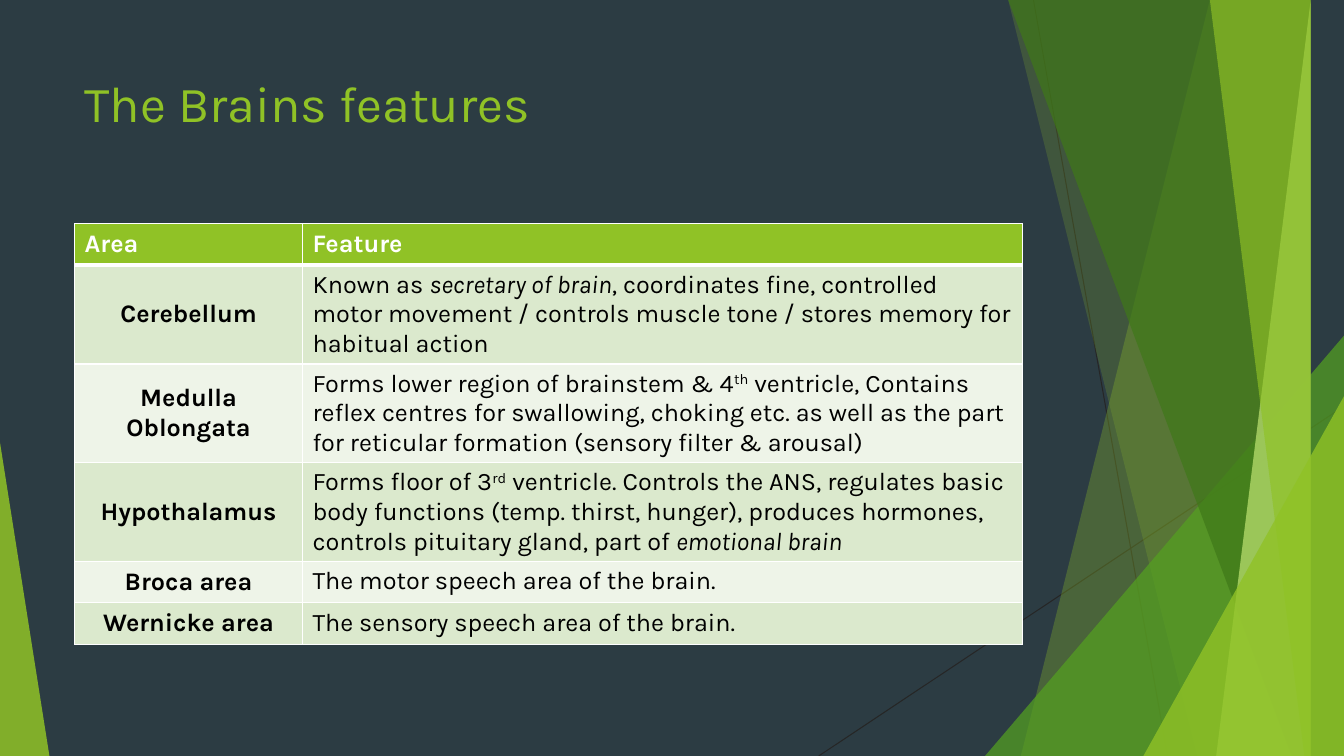
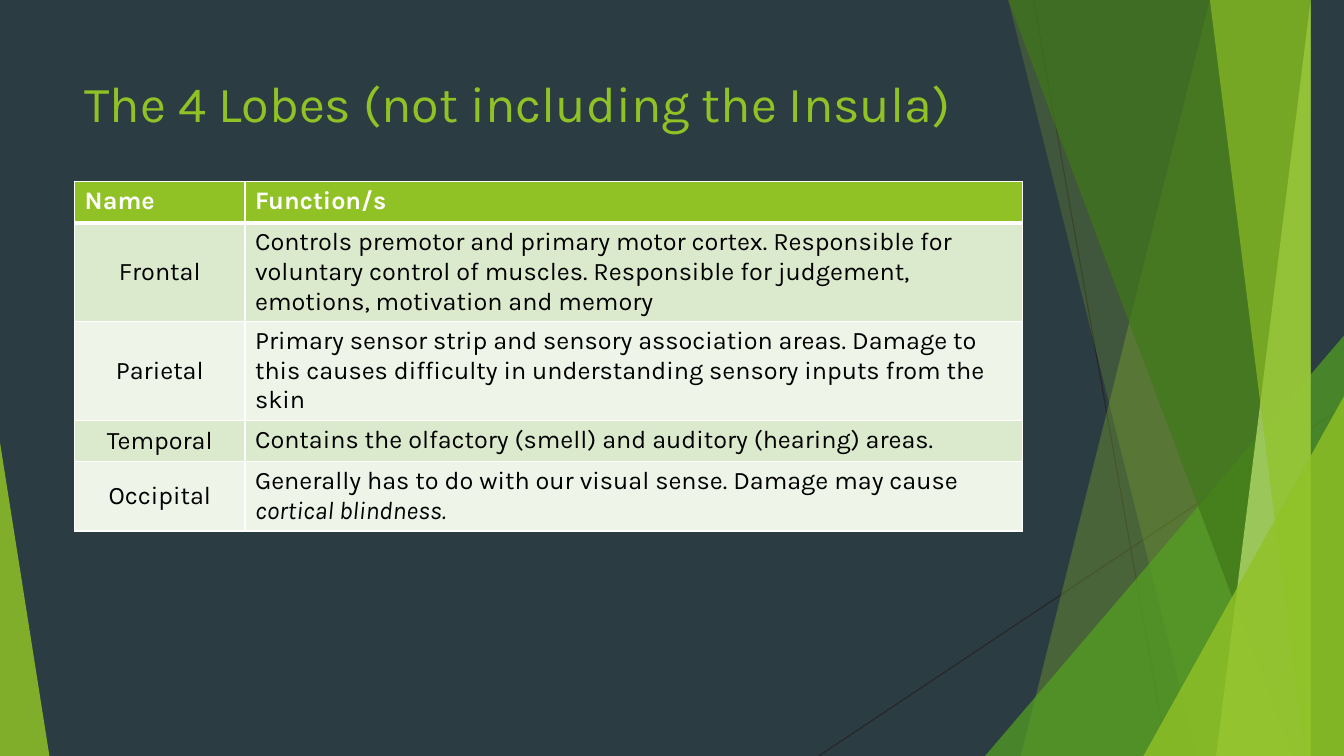
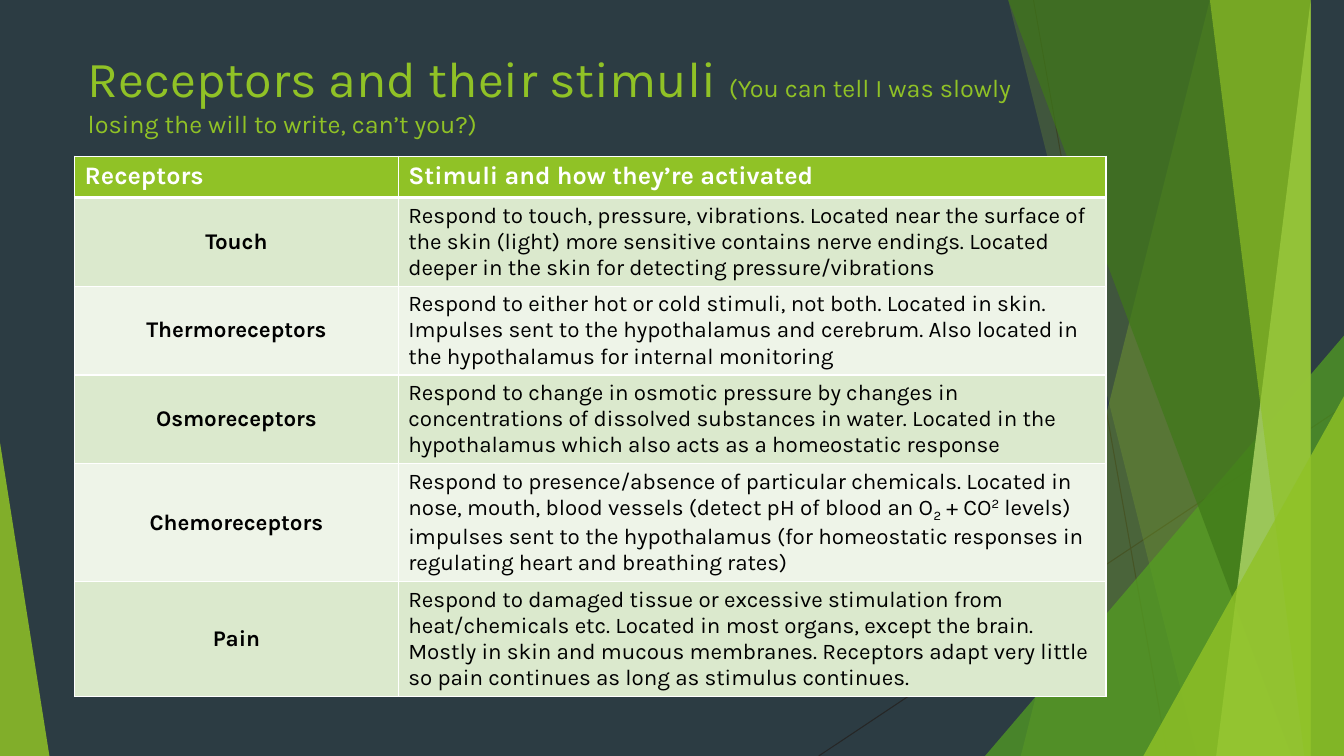
from lxml import etree
from pptx import Presentation
from pptx.dml.color import RGBColor
from pptx.enum.shapes import MSO_CONNECTOR, MSO_SHAPE
from pptx.enum.text import MSO_ANCHOR, MSO_AUTO_SIZE, PP_ALIGN
from pptx.oxml.ns import qn
from pptx.util import Inches, Pt

STRAIGHT = MSO_CONNECTOR.STRAIGHT
TRIANGLE = MSO_SHAPE.RIGHT_TRIANGLE, MSO_SHAPE.ISOSCELES_TRIANGLE
TOP, MIDDLE = MSO_ANCHOR.TOP, MSO_ANCHOR.MIDDLE
LEFT, CENTER = PP_ALIGN.LEFT, PP_ALIGN.CENTER
NO_AUTOFIT = MSO_AUTO_SIZE.NONE

SLATE = RGBColor(0x2C, 0x3C, 0x43)
LIME = RGBColor(0x90, 0xC2, 0x26)
GREEN = RGBColor(0x54, 0xA0, 0x21)
FOREST = RGBColor(0x3F, 0x78, 0x19)
PALE_LIME = RGBColor(0xC0, 0xE4, 0x74)
CHARCOAL = RGBColor(0x26, 0x26, 0x26)
BAND_COLORS = RGBColor(0xDB, 0xE9, 0xCD), RGBColor(0xEE, 0xF4, 0xE8)
WHITE = RGBColor(0xFF, 0xFF, 0xFF)
BLACK = RGBColor(0, 0, 0)

FONT = "Karla"
WIDTH, HEIGHT = 13.33, 7.5
BLEED = -0.01
MARGIN = 0.74
TITLE_WIDTH, TITLE_HEIGHT = 9.4, 1.44
ROW_HEIGHT = 0.41
HAIRLINE, HEADER_RULE = 1, 3
ITALIC, SUPER, SUB = "italic", "super", "sub"
BASELINES = {SUPER: "30000", SUB: "-25000"}


# Text: spans are plain strings or (text, style) pairs
def write(para, spans, size, color, bold=False, align=LEFT):
    para.alignment = align
    for item in [spans] if isinstance(spans, str) else spans:
        text, style = (item, None) if isinstance(item, str) else item
        span = para.add_run()
        span.text = text
        font = span.font
        font.name, font.bold, font.italic = FONT, bold, style == ITALIC
        font.size = Pt(style if isinstance(style, int) else size)
        font.color.rgb = color
        if style in BASELINES:
            span._r.get_or_add_rPr().set("baseline", BASELINES[style])


# Shared backdrop
def paint(shape, color, opacity):
    shape.shadow.inherit = False
    shape.line.fill.background()
    shape.fill.solid()
    shape.fill.fore_color.rgb = color
    tint = shape.element.spPr.find(".//" + qn("a:srgbClr"))
    etree.SubElement(tint, qn("a:alpha")).set("val", str(opacity * 1000))


def add_thin_line(shapes, start, end):
    line = shapes.add_connector(STRAIGHT, *map(Inches, start + end))
    line.line.color.rgb = CHARCOAL
    line.line.width = Pt(0.75)
    etree.SubElement(line.element.spPr, qn("a:effectLst"))


def add_shard(shapes, top_x, bottom_x, color, opacity):
    """A slanted left edge, filled out to the right side of the slide."""
    outline = shapes.build_freeform(top_x, BLEED, scale=Inches(1))
    outline.add_line_segments(
        [(WIDTH, BLEED), (WIDTH, HEIGHT), (bottom_x, HEIGHT)], close=True)
    paint(outline.convert_to_shape(), color, opacity)


def add_corner(shapes, left, width, height, peak, color, opacity):
    """A triangle on the bottom edge; peak is 0 (left) or 1 (right)."""
    corner = shapes.add_shape(
        TRIANGLE[1], Inches(left), Inches(HEIGHT - height),
        Inches(width), Inches(height))
    corner.adjustments[0] = peak
    paint(corner, color, opacity)


def add_backdrop(deck, layout):
    fill = deck.slide_master.background.fill
    fill.solid()
    fill.fore_color.rgb = SLATE

    # Layouts cannot draw shapes, so draw on a page and move the group
    page = deck.slides[0]
    group = page.shapes.add_group_shape()
    shapes = group.shapes
    add_thin_line(shapes, (10.25, 0), (11.58, HEIGHT))
    add_thin_line(shapes, (WIDTH, 4.03), (8.12, HEIGHT))
    add_shard(shapes, 12.28, 10.04, LIME, 30)
    add_shard(shapes, 10.5, 11.83, LIME, 20)
    add_corner(shapes, 9.77, 3.56, 4.17, 1, GREEN, 72)
    add_shard(shapes, 10.21, 12.91, FOREST, 70)
    add_shard(shapes, 13.03, 11.92, PALE_LIME, 70)
    add_shard(shapes, 11.96, 13.18, LIME, 65)
    add_corner(shapes, 11.34, 1.99, 3.57, 1, LIME, 80)
    add_corner(shapes, 0, 0.49, 3.11, 0, LIME, 85)
    for number, node in enumerate(group.element.iter(qn("p:cNvPr")), 100):
        node.set("id", str(number))
    layout.shapes.element.append(group.element)


# Slide parts
def add_page(deck, layout, title, left=MARGIN, top=0.67):
    page = deck.slides.add_slide(layout)
    box = page.shapes.title
    box.left, box.top = Inches(left), Inches(top)
    box.width, box.height = Inches(TITLE_WIDTH), Inches(TITLE_HEIGHT)
    frame = box.text_frame
    frame.vertical_anchor = TOP
    frame.word_wrap = True
    frame.auto_size = NO_AUTOFIT
    write(frame.paragraphs[0], title, 36, LIME)
    return page


def set_border(cell, side, points):
    line = etree.SubElement(
        cell._tc.get_or_add_tcPr(), qn("a:ln" + side), w=str(Pt(points)))
    color = etree.SubElement(etree.SubElement(line, qn("a:solidFill")),
                             qn("a:srgbClr"))
    color.set("val", str(WHITE))


def add_fact_table(page, top, height, widths, rows, size=18, bold_names=True):
    holder = page.shapes.add_table(
        len(rows), len(widths), Inches(MARGIN), Inches(top),
        Inches(sum(widths)), Inches(ROW_HEIGHT * len(rows)))
    table = holder.table
    table.horz_banding = False
    for column, width in zip(table.columns, widths):
        column.width = Inches(width)
    for r, row in enumerate(rows):
        table.rows[r].height = Inches(ROW_HEIGHT)
        header = r == 0
        for c, spans in enumerate(row):
            cell = table.cell(r, c)
            name = c == 0 and not header
            for side in "LRTB":
                ruled = (r, side) in ((0, "B"), (1, "T"))
                set_border(cell, side, HEADER_RULE if ruled else HAIRLINE)
            cell.fill.solid()
            cell.fill.fore_color.rgb = (
                LIME if header else BAND_COLORS[(r - 1) % 2])
            cell.vertical_anchor = MIDDLE if name else TOP
            write(cell.text_frame.paragraphs[0], spans,
                  18 if header else size, WHITE if header else BLACK,
                  bold=header or (name and bold_names),
                  align=CENTER if name else LEFT)
    holder.height = Inches(height)


# Content
BRAIN_AREAS = [
    ("Area", "Feature"),
    ("Cerebellum", [
        "Known as ", ("secretary of brain", ITALIC),
        ", coordinates fine, controlled motor movement / controls muscle "
        "tone / stores memory for habitual action"]),
    ("Medulla Oblongata", [
        "Forms lower region of brainstem & 4", ("th", SUPER),
        " ventricle, Contains reflex centres for swallowing, choking etc. as "
        "well as the part for reticular formation (sensory filter & arousal)"]),
    ("Hypothalamus", [
        "Forms floor of 3", ("rd", SUPER),
        " ventricle. Controls the ANS, regulates basic body functions (temp. "
        "thirst, hunger), produces hormones, controls pituitary gland, part of ",
        ("emotional brain", ITALIC)]),
    ("Broca area", "The motor speech area of the brain."),
    ("Wernicke area", "The sensory speech area of the brain."),
]

LOBES = [
    ("Name", "Function/s"),
    ("Frontal",
     "Controls premotor and primary motor cortex. Responsible for voluntary "
     "control of muscles. Responsible for judgement, emotions, motivation "
     "and memory"),
    ("Parietal",
     "Primary sensor strip and sensory association areas. Damage to this "
     "causes difficulty in understanding sensory inputs from the skin"),
    ("Temporal",
     "Contains the olfactory (smell) and auditory (hearing) areas."),
    ("Occipital", [
        "Generally has to do with our visual sense. Damage may cause ",
        ("cortical blindness.", ITALIC)]),
]

RECEPTORS = [
    ("Receptors", "Stimuli and how they’re activated"),
    ("Touch",
     "Respond to touch, pressure, vibrations. Located near the surface of "
     "the skin (light) more sensitive contains nerve endings. Located deeper "
     "in the skin for detecting pressure/vibrations"),
    ("Thermoreceptors",
     "Respond to either hot or cold stimuli, not both. Located in skin. "
     "Impulses sent to the hypothalamus and cerebrum. Also located in the "
     "hypothalamus for internal monitoring"),
    ("Osmoreceptors",
     "Respond to change in osmotic pressure by changes in concentrations of "
     "dissolved substances in water. Located in the hypothalamus which also "
     "acts as a homeostatic response"),
    ("Chemoreceptors", [
        "Respond to presence/absence of particular chemicals. Located in "
        "nose, mouth, blood vessels (detect pH of blood an O", ("2", SUB),
        " + CO", ("2", SUPER),
        " levels) impulses sent to the hypothalamus (for homeostatic "
        "responses in regulating heart and breathing rates)"]),
    ("Pain",
     "Respond to damaged tissue or excessive stimulation from heat/chemicals "
     "etc. Located in most organs, except the brain. Mostly in skin and "
     "mucous membranes. Receptors adapt very little so pain continues as "
     "long as stimulus continues."),
]


def main():
    deck = Presentation()
    deck.slide_width, deck.slide_height = Inches(WIDTH), Inches(HEIGHT)
    layout = deck.slide_layouts.get_by_name("Title Only")

    page = add_page(deck, layout, "The Brains features")
    add_backdrop(deck, layout)
    add_fact_table(page, 2.22, 4.22, (2.26, 7.14), BRAIN_AREAS)

    page = add_page(deck, layout, "The 4 Lobes (not including the Insula)")
    add_fact_table(page, 1.8, 3.21, (1.69, 7.71), LOBES, bold_names=False)

    page = add_page(deck, layout, [
        "Receptors and their stimuli ",
        ("(You can tell I was slowly losing the will to write, can’t you?)",
         18)], left=0.77, top=0.42)
    add_fact_table(page, 1.55, 5.44, (3.21, 7.02), RECEPTORS, size=16)

    deck.save("out.pptx")


if __name__ == "__main__":
    main()
